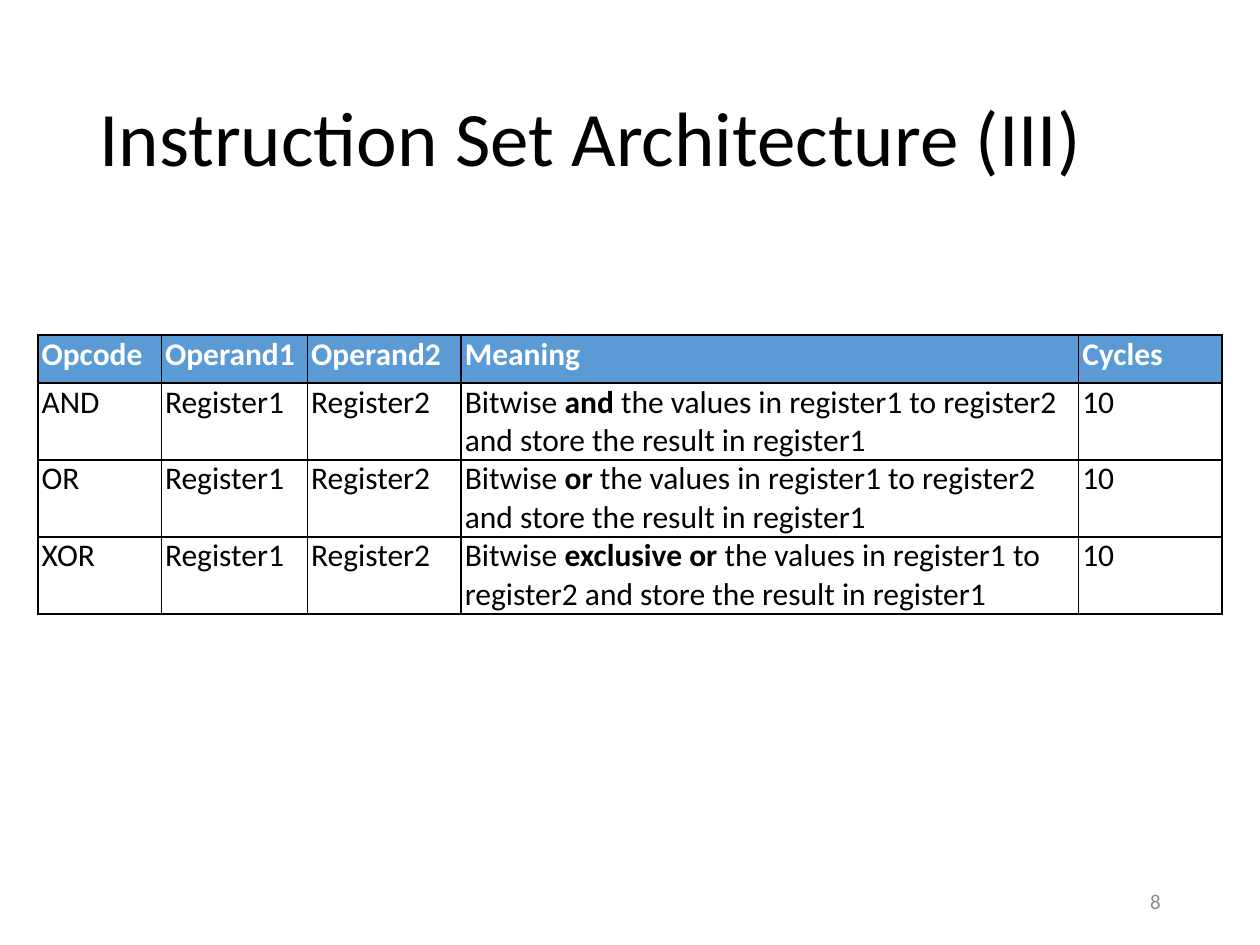
from lxml import etree
from pptx import Presentation
from pptx.dml.color import RGBColor
from pptx.enum.text import MSO_ANCHOR, PP_ALIGN
from pptx.oxml.ns import qn
from pptx.util import Inches, Pt

LEFT, RIGHT = PP_ALIGN.LEFT, PP_ALIGN.RIGHT
MIDDLE = MSO_ANCHOR.MIDDLE
COLORS = {"text": "000000", "header": "5B9BD5", "header_text": "FFFFFF",
          "cell": "FFFFFF", "border": "000000", "number": "8C8C8C"}


def write(tf, text, size=18, color="text", bold=False, align=LEFT, spacing=1.0):
    """Write text in a frame; parts between asterisks switch boldness."""
    p = tf.paragraphs[0]
    p.alignment = align
    p.line_spacing = spacing
    for i, part in enumerate(text.split("*")):
        r = p.add_run()
        r.text = part
        r.font.name = "Calibri"
        r.font.size = Pt(size)
        r.font.bold = bold or i % 2 == 1
        r.font.color.rgb = RGBColor.from_string(COLORS[color])


def add_borders(cell):
    """Draw a one-point line on each side of a cell."""
    tc_pr = cell._tc.get_or_add_tcPr()
    for i, side in enumerate(("a:lnL", "a:lnR", "a:lnT", "a:lnB")):
        ln = etree.Element(qn(side), w=str(Pt(1)))
        fill = etree.SubElement(ln, qn("a:solidFill"))
        etree.SubElement(fill, qn("a:srgbClr"), val=COLORS["border"])
        tc_pr.insert(i, ln)


prs = Presentation()
prs.slide_width, prs.slide_height = Inches(10), Inches(7.5)
s = prs.slides.add_slide(prs.slide_layouts[6])

# Instruction table
meaning = "Bitwise *{}* the values in register1 to register2 and store the result in register1"
rows = [["Opcode", "Operand1", "Operand2", "Meaning", "Cycles"]]
for opcode, operation in (("AND", "and"), ("OR", "or"), ("XOR", "exclusive or")):
    rows.append([opcode, "Register1", "Register2", meaning.format(operation), "10"])
col_widths = [0.98, 1.16, 1.22, 4.9, 1.14]
row_heights = [0.38] + [0.61] * 3

table = s.shapes.add_table(len(rows), len(col_widths), Inches(0.3), Inches(2.66),
                           Inches(sum(col_widths)), Inches(sum(row_heights))).table
for col, width in zip(table.columns, col_widths):
    col.width = Inches(width)
for row, height, texts in zip(table.rows, row_heights, rows):
    row.height = Inches(height)
    header = texts is rows[0]
    for cell, text in zip(row.cells, texts):
        cell.margin_left = cell.margin_right = Inches(0.03)
        cell.margin_top = cell.margin_bottom = 0
        cell.fill.solid()
        cell.fill.fore_color.rgb = RGBColor.from_string(COLORS["header" if header else "cell"])
        write(cell.text_frame, text, bold=header, color="header_text" if header else "text")
        add_borders(cell)

# Title and slide number
for box, text, style in (
    ((0.69, 0.4, 8.62, 1.45), "Instruction Set Architecture (III)", {"size": 44, "spacing": 0.9}),
    ((7.06, 6.95, 2.25, 0.4), "8", {"size": 12, "color": "number", "align": RIGHT}),
):
    tf = s.shapes.add_textbox(*map(Inches, box)).text_frame
    tf.word_wrap = True
    tf.vertical_anchor = MIDDLE
    write(tf, text, **style)

prs.save("out.pptx")
